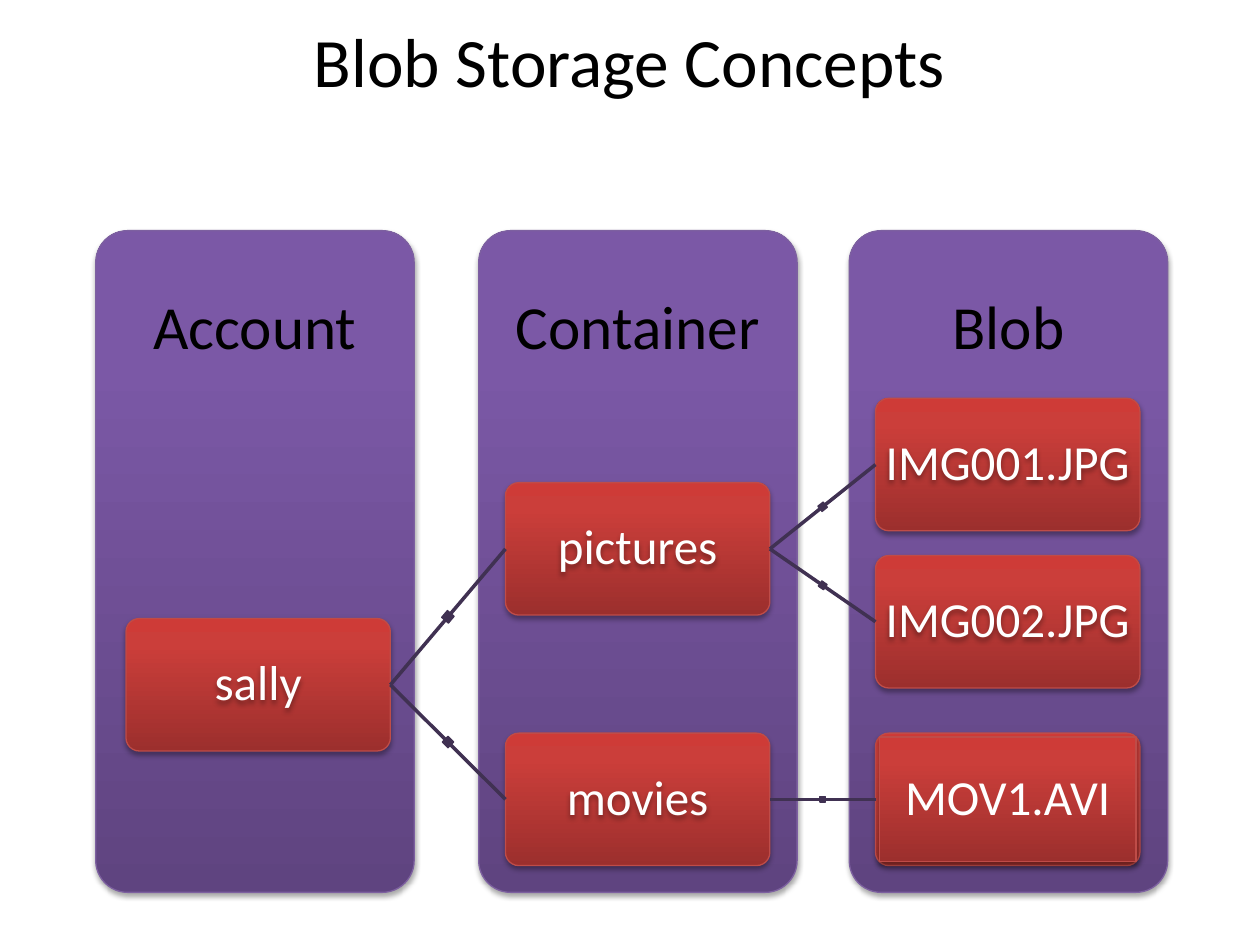
import copy
import math

from lxml import etree
from pptx import Presentation
from pptx import util as u
from pptx.dml.color import RGBColor
from pptx.enum import shapes, text
from pptx.oxml import ns

COLORS = {
    "black": "000000",
    "white": "FFFFFF",
    "panel_line": "7D60A0",
    "node_line": "BF4C48",
    "link": "403152",
}
GRADIENTS = {
    "panel": ("5F4480", "7B58A6", "7C57A8"),
    "node": ("9C2F2D", "CB3E3A", "CE3B37"),
}
STOP_POSITIONS = (0, 0.8, 1)
PANEL_TOP, PANEL_WIDTH, PANEL_HEIGHT, HEADING_HEIGHT = 4.65, 6.42, 13.34, 3.99
NODE_WIDTH, NODE_HEIGHT, NODE_PAD = 5.33, 2.67, 0.08

PANELS = [("Account", 1.93), ("Container", 9.65), ("Blob", 17.12)]
NODES = {
    "sally": (2.54, 12.47),
    "pictures": (10.19, 9.73),
    "movies": (10.19, 14.78),
    "IMG001.JPG": (17.65, 8.03),
    "IMG002.JPG": (17.65, 11.2),
    "MOV1.AVI": (17.65, 14.78),
}
FRAMED_NODE = "MOV1.AVI"
LINKS = [
    ("sally", "pictures"),
    ("sally", "movies"),
    ("pictures", "IMG001.JPG"),
    ("pictures", "IMG002.JPG"),
    ("movies", "MOV1.AVI"),
]


def color(name):
    return RGBColor.from_string(COLORS[name])


def apply(target, **values):
    for name, value in values.items():
        setattr(target, name, value)


def write(box, words, size, tint, inset=0, spacing=0.9):
    frame = box.text_frame
    apply(frame, word_wrap=True, auto_size=text.MSO_AUTO_SIZE.NONE,
          vertical_anchor=text.MSO_ANCHOR.MIDDLE,
          margin_left=u.Cm(inset), margin_right=u.Cm(inset),
          margin_top=u.Cm(inset), margin_bottom=u.Cm(inset))
    para = frame.paragraphs[0]
    apply(para, alignment=text.PP_ALIGN.CENTER, line_spacing=spacing)
    span = para.add_run()
    span.text = words
    apply(span.font, name="Calibri", size=u.Pt(size))
    span.font.color.rgb = color(tint)


def add_shadow(shape):
    shape.shadow.inherit = False
    effects = shape._element.spPr.find(ns.qn("a:effectLst"))
    shadow = etree.SubElement(effects, ns.qn("a:outerShdw"), blurRad="40000",
                              dist="23000", dir="5400000", rotWithShape="0")
    black = etree.SubElement(shadow, ns.qn("a:srgbClr"), val=COLORS["black"])
    etree.SubElement(black, ns.qn("a:alpha"), val="35000")


def add_block(page, kind, style, left, top, width, height):
    block = page.shapes.add_shape(kind, u.Cm(left), u.Cm(top), u.Cm(width), u.Cm(height))
    if len(block.adjustments):
        block.adjustments[0] = 0.1
    block.fill.gradient()
    block.fill.gradient_angle = 90
    stop_list = block._element.spPr.find(".//" + ns.qn("a:gsLst"))
    stop_list.append(copy.deepcopy(stop_list[-1]))
    for stop, place, tint in zip(block.fill.gradient_stops, STOP_POSITIONS, GRADIENTS[style]):
        stop.position = place
        stop.color.rgb = RGBColor.from_string(tint)
    block.line.color.rgb = color(style + "_line")
    block.line.width = u.Pt(0.75)
    add_shadow(block)
    return block


def add_panel(page, heading, left):
    add_block(page, shapes.MSO_SHAPE.ROUNDED_RECTANGLE, "panel",
              left, PANEL_TOP, PANEL_WIDTH, PANEL_HEIGHT)
    box = page.shapes.add_textbox(u.Cm(left), u.Cm(PANEL_TOP),
                                  u.Cm(PANEL_WIDTH), u.Cm(HEADING_HEIGHT))
    write(box, heading, 35, "black", inset=0.69)


def add_node(page, label, left, top):
    node = add_block(page, shapes.MSO_SHAPE.ROUNDED_RECTANGLE, "node",
                     left, top, NODE_WIDTH, NODE_HEIGHT)
    inner = (left + NODE_PAD, top + NODE_PAD,
             NODE_WIDTH - 2 * NODE_PAD, NODE_HEIGHT - 2 * NODE_PAD)
    if label == FRAMED_NODE:
        box = add_block(page, shapes.MSO_SHAPE.RECTANGLE, "node", *inner)
    else:
        box = page.shapes.add_textbox(*map(u.Cm, inner))
        add_shadow(box)
    write(box, label, 28, "white")
    return node


def add_link(page, parent, child):
    link = page.shapes.add_connector(shapes.MSO_CONNECTOR.STRAIGHT, 0, 0, 0, 0)
    link.begin_connect(parent, 3)
    link.end_connect(child, 1)
    link.line.color.rgb = color("link")
    link.line.width = u.Pt(2)
    etree.SubElement(link._element.spPr, ns.qn("a:effectLst"))

    run, rise = link.end_x - link.begin_x, link.end_y - link.begin_y
    side = int(math.hypot(run, rise) * 0.05)
    marker = page.shapes.add_shape(
        shapes.MSO_SHAPE.RECTANGLE,
        (link.begin_x + link.end_x - side) // 2,
        (link.begin_y + link.end_y - side) // 2, side, side)
    marker.rotation = math.degrees(math.atan2(rise, run))
    marker.shadow.inherit = False
    marker.fill.solid()
    marker.fill.fore_color.rgb = color("link")
    marker.line.color.rgb = color("link")
    marker.line.width = u.Pt(0.75)


def add_title(page, words):
    title = page.shapes.title
    apply(title, left=u.Cm(1.07), top=u.Cm(0.43), width=u.Cm(23.24), height=u.Cm(1.55))
    write(title, words, 39.6, "black", spacing=1.0)


def main():
    deck = Presentation()
    apply(deck, slide_width=u.Cm(25.4), slide_height=u.Cm(19.05))
    page = deck.slides.add_slide(deck.slide_layouts.get_by_name("Title Only"))
    add_title(page, "Blob Storage Concepts")
    for heading, left in PANELS:
        add_panel(page, heading, left)
    nodes = {label: add_node(page, label, *place) for label, place in NODES.items()}
    for parent, child in LINKS:
        add_link(page, nodes[parent], nodes[child])
    deck.save("out.pptx")


if __name__ == "__main__":
    main()
